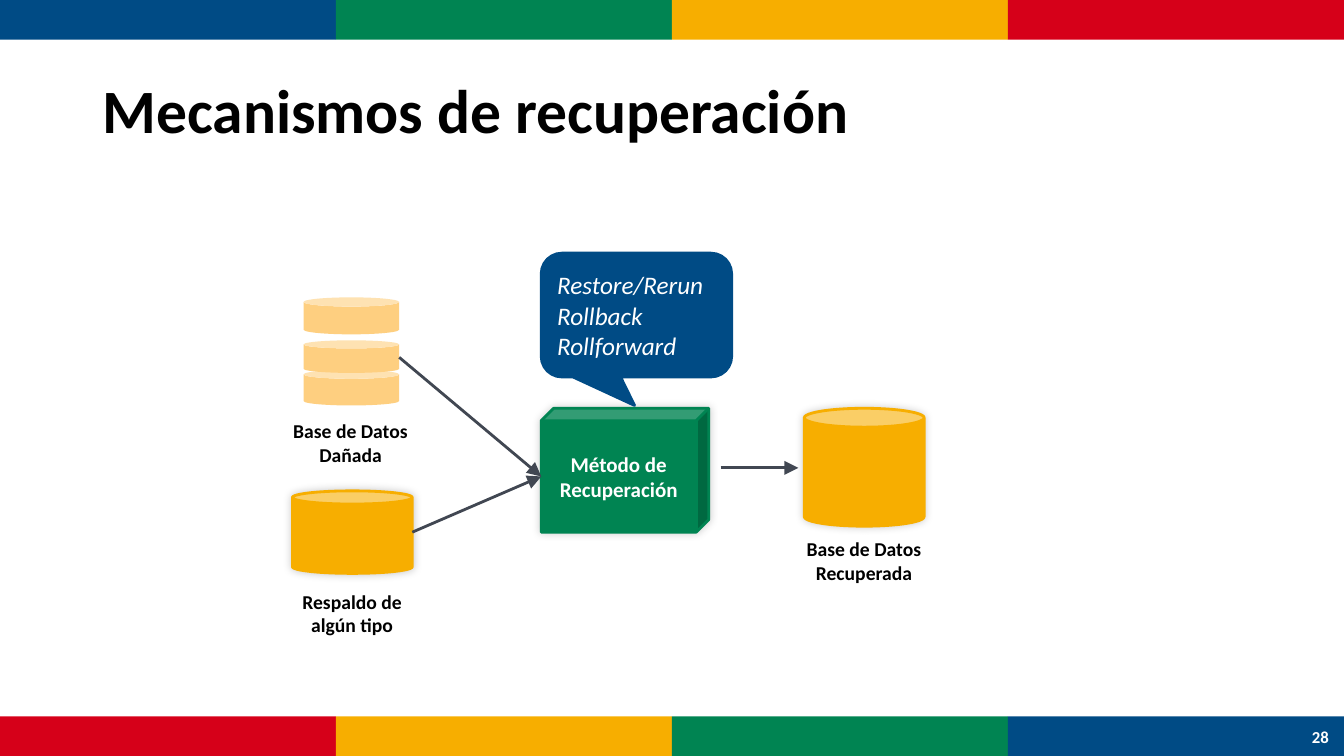
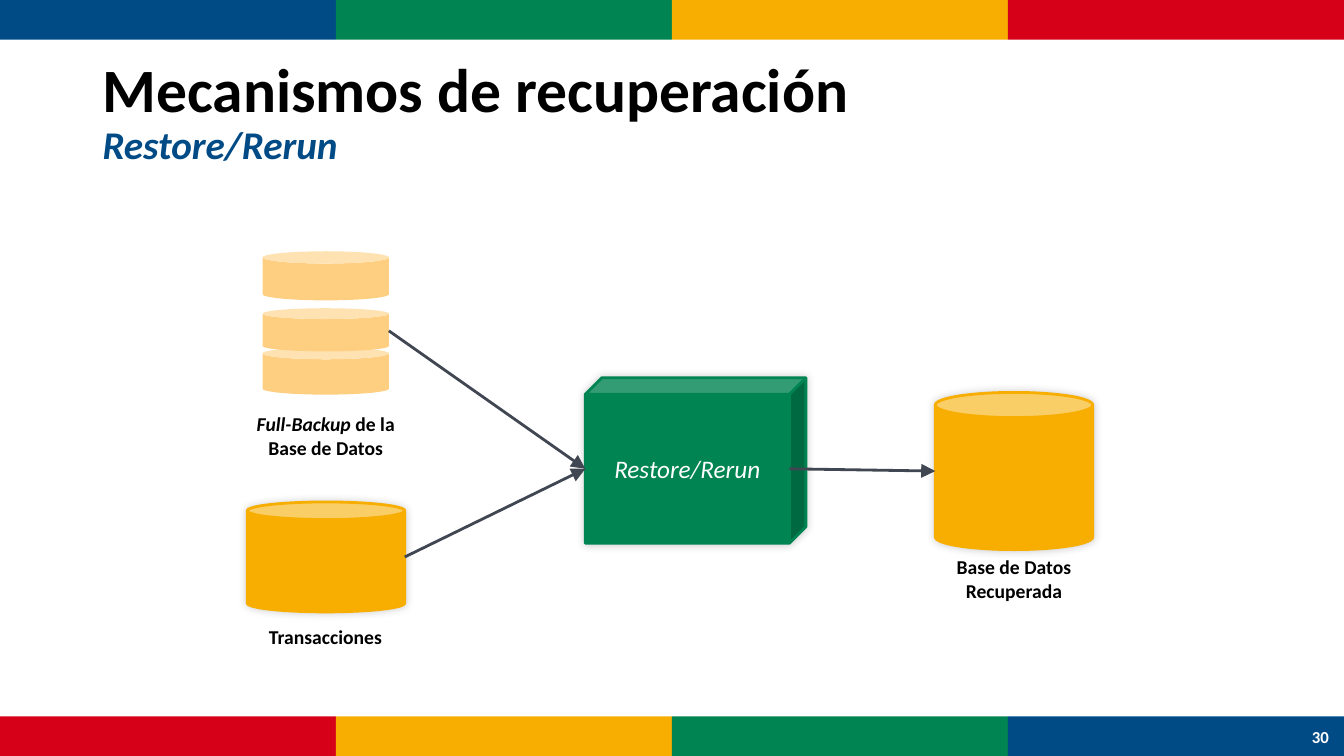
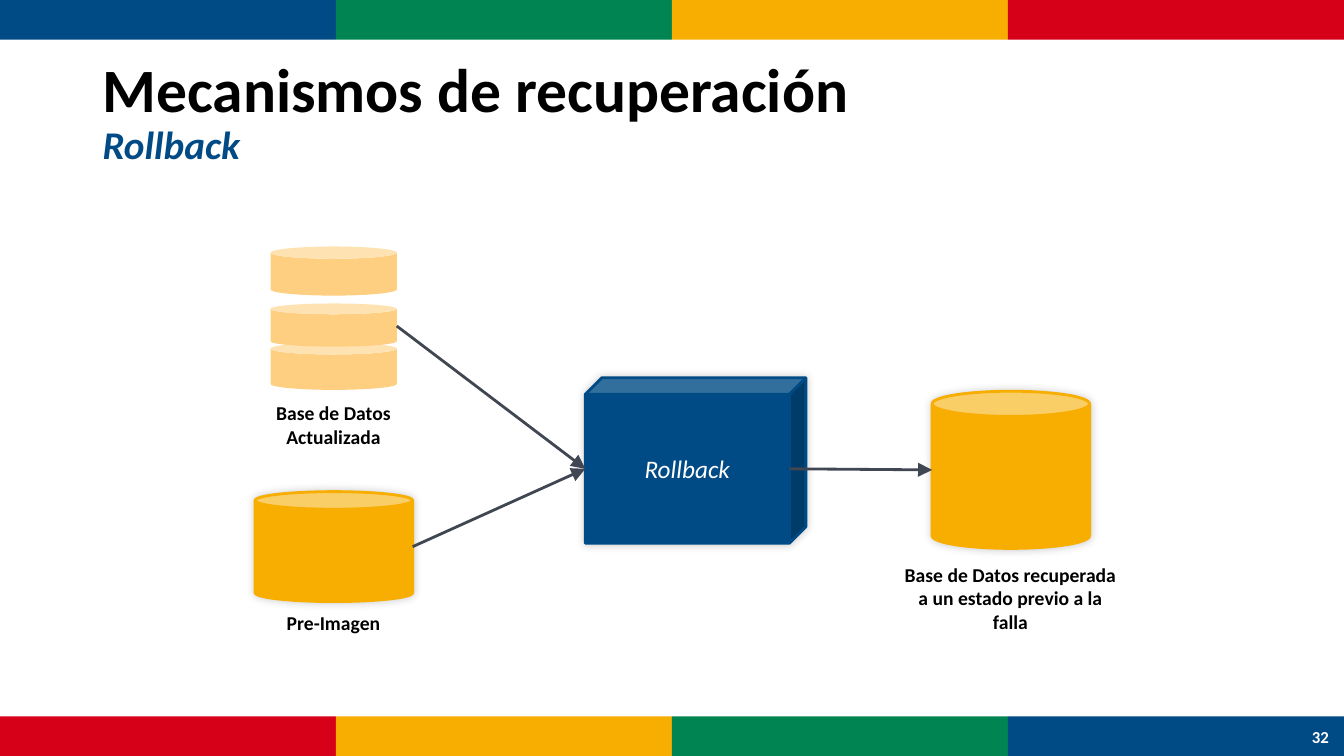
from lxml.etree import SubElement
from pptx import Presentation
from pptx.dml.color import RGBColor
from pptx.enum.shapes import MSO_CONNECTOR, MSO_SHAPE
from pptx.enum.text import MSO_ANCHOR, PP_ALIGN
from pptx.oxml import parse_xml
from pptx.oxml.ns import nsdecls, qn
from pptx.util import Cm, Pt

COLORS = {"blue": "004B85", "green": "008452", "yellow": "F7AE00", "red": "D60019",
          "pale": "FECF80", "arrow": "414752", "black": "000000", "white": "FFFFFF"}
FONT = "Calibri"
WIDTH, HEIGHT, BAND = 33.87, 19.05, 1
CAN_DEPTH, CUBE_DEPTH = 0.16, 0.1

# Per slide: boxes are left, top, width, height in centimetres;
# labels are left, top, width, line count and runs of (text, italic)
SLIDES = [
    {"number": "28", "subtitle": None, "method": "Método de Recuperación",
     "method_format": {"size": 15, "bold": True}, "color": "green",
     "cube": (13.64, 10.29, 4.22, 3.12), "drums": (7.65, 6.86, 2.41, 3.73),
     "cans": [(7.37, 12.37, 3.02, 2.08), (20.27, 10.29, 3.02, 2.97)],
     "output": (18.16, 11.79, 20.12, 11.79),
     "callout": ["Restore/Rerun", "Rollback", "Rollforward"],
     "labels": [(6.75, 10.44, 4.17, 2, [("Base de Datos Dañada", False)]),
                (7.06, 14.73, 3.63, 2, [("Respaldo de algún tipo", False)]),
                (19.72, 13.41, 4.11, 2, [("Base de Datos Recuperada", False)])]},
    {"number": "30", "subtitle": "Restore/Rerun", "method": "Restore/Rerun",
     "method_format": {"size": 18, "italic": True}, "color": "green",
     "cube": (14.75, 9.52, 5.56, 4.17), "drums": (6.62, 5.49, 3.18, 4.95),
     "cans": [(6.23, 12.65, 3.97, 2.77), (23.57, 9.89, 3.97, 3.96)],
     "output": None, "callout": None,
     "labels": [(5.82, 10.26, 4.78, 2, [("Full-Backup", True), (" de la Base de Datos", False)]),
                (6.02, 15.62, 4.37, 1, [("Transacciones", False)]),
                (23.37, 13.87, 4.37, 2, [("Base de Datos Recuperada", False)])]},
    {"number": "32", "subtitle": "Rollback", "method": "Rollback",
     "method_format": {"size": 18, "italic": True}, "color": "blue",
     "cube": (14.75, 9.52, 5.56, 4.17), "drums": (6.82, 5.37, 3.18, 4.95),
     "cans": [(6.43, 12.39, 3.97, 2.77), (23.49, 9.86, 3.97, 3.96)],
     "output": None, "callout": None,
     "labels": [(6.02, 9.98, 4.77, 2, [("Base de Datos Actualizada", False)]),
                (6.22, 15.27, 4.37, 1, [("Pre-Imagen", False)]),
                (22.49, 14.05, 5.95, 3,
                 [("Base de Datos recuperada a un estado previo a la falla", False)])]},
]


def write(paragraph, text, size=14, color="black", bold=False, italic=False,
          align=PP_ALIGN.CENTER):
    paragraph.alignment = align
    run = paragraph.add_run()
    run.text = text
    font = run.font
    font.name, font.size, font.bold, font.italic = FONT, Pt(size), bold, italic
    font.color.rgb = RGBColor.from_string(COLORS[color])


def paint(shape, fill, line=None, shadow=False):
    shape.shadow.inherit = False
    shape.fill.solid()
    shape.fill.fore_color.rgb = RGBColor.from_string(COLORS[fill])
    if line:
        shape.line.color.rgb = RGBColor.from_string(COLORS[line])
        shape.line.width = Pt(2)
    else:
        shape.line.fill.background()
    if shadow:
        effects = shape.element.spPr.find(qn("a:effectLst"))
        effects.append(parse_xml(
            f'<a:outerShdw {nsdecls("a")} blurRad="76200" dist="0" dir="13500000">'
            '<a:srgbClr val="000000"><a:alpha val="20000"/></a:srgbClr></a:outerShdw>'))


presentation = Presentation()
presentation.slide_width, presentation.slide_height = Cm(WIDTH), Cm(HEIGHT)

# Shared layout: title place only
layout = presentation.slide_layouts[5]
for placeholder in list(layout.placeholders):
    if placeholder.placeholder_format.idx == 0:
        placeholder.left, placeholder.top = Cm(2.33), Cm(1.02)
        placeholder.width, placeholder.height = Cm(29.21), Cm(3.68)
        placeholder.text_frame.vertical_anchor = MSO_ANCHOR.MIDDLE
    else:
        placeholder.element.getparent().remove(placeholder.element)

for index, content in enumerate(SLIDES):
    slide = presentation.slides.add_slide(layout)
    shapes = slide.shapes

    # Colour bands, drawn once and handed to the layout
    if index == 0:
        band_colors = ["blue", "green", "yellow", "red"]
        for top, names in ((0, band_colors), (HEIGHT - BAND, band_colors[::-1])):
            for column, name in enumerate(names):
                band = shapes.add_shape(MSO_SHAPE.RECTANGLE, Cm(column * WIDTH / 4), Cm(top),
                                        Cm(WIDTH / 4), Cm(BAND))
                paint(band, name)
                layout.shapes.element.append(band.element)

    # Title and subtitle
    heading = shapes.title.text_frame.paragraphs[0]
    heading.line_spacing = 0.9
    write(heading, "Mecanismos de recuperación", size=44, bold=True, align=PP_ALIGN.LEFT)
    if content["subtitle"]:
        heading.add_line_break()
        write(heading, content["subtitle"], size=28, color="blue", bold=True, italic=True,
              align=PP_ALIGN.LEFT)

    # Source database: white body, then three drums with the middle one in front
    left, top, width, height = content["drums"]
    for start, end, color in ((0, 1, "white"), (0.66, 0.9, "pale"),
                              (0.17, 0.42, "pale"), (0.46, 0.68, "pale")):
        drum = shapes.add_shape(MSO_SHAPE.CAN, Cm(left), Cm(top + start * height),
                                Cm(width), Cm((end - start) * height))
        paint(drum, color)
    drum_exit = (left + width, top + 0.575 * height)

    # Backup and recovered database
    for box in content["cans"]:
        can = shapes.add_shape(MSO_SHAPE.CAN, *map(Cm, box))
        can.adjustments[0] = CAN_DEPTH
        paint(can, "yellow", "yellow", shadow=True)

    # Recovery method
    cube = shapes.add_shape(MSO_SHAPE.CUBE, *map(Cm, content["cube"]))
    cube.adjustments[0] = CUBE_DEPTH
    paint(cube, content["color"], content["color"], shadow=True)
    cube.text_frame.vertical_anchor = MSO_ANCHOR.MIDDLE
    write(cube.text_frame.paragraphs[0], content["method"], color="white",
          **content["method_format"])

    # Arrows meet the front face of the cube
    left, top, width, height = content["cube"]
    depth = CUBE_DEPTH * height
    entry = (left, top + (height + depth) / 2)
    backup, result = content["cans"]
    backup_exit = (backup[0] + backup[2], backup[1] + backup[3] / 2)
    output = content["output"] or (left + width - depth, entry[1],
                                   result[0], result[1] + result[3] / 2)
    for ends in (backup_exit + entry, drum_exit + entry, output):
        arrow = shapes.add_connector(MSO_CONNECTOR.STRAIGHT, *map(Cm, ends))
        arrow.line.color.rgb = RGBColor.from_string(COLORS["arrow"])
        arrow.line.width = Pt(2)
        SubElement(arrow.element.spPr.find(qn("a:ln")), qn("a:tailEnd"),
                   type="triangle", w="lg", len="lg")
        SubElement(arrow.element.spPr, qn("a:effectLst"))

    # Callout with the methods
    if content["callout"]:
        callout = shapes.add_shape(MSO_SHAPE.ROUNDED_RECTANGULAR_CALLOUT,
                                   Cm(left), Cm(6.38), Cm(4.8), Cm(3.12))
        callout.adjustments[0], callout.adjustments[1] = -0.01, 0.73
        paint(callout, "blue", "blue")
        frame = callout.text_frame
        frame.vertical_anchor = MSO_ANCHOR.MIDDLE
        for row, name in enumerate(content["callout"]):
            paragraph = frame.add_paragraph() if row else frame.paragraphs[0]
            write(paragraph, name, size=18, color="white", italic=True, align=PP_ALIGN.LEFT)

    # Labels
    for left, top, width, lines, runs in content["labels"]:
        label = shapes.add_textbox(Cm(left), Cm(top), Cm(width), Cm(0.26 + 0.6 * lines))
        label.text_frame.word_wrap = True
        for text, italic in runs:
            write(label.text_frame.paragraphs[0], text, bold=True, italic=italic)

    # Slide number
    number = shapes.add_textbox(Cm(32.69), Cm(18.06), Cm(1.17), Cm(1.02))
    number.text_frame.word_wrap = True
    number.text_frame.vertical_anchor = MSO_ANCHOR.MIDDLE
    write(number.text_frame.paragraphs[0], content["number"], size=12, color="white", bold=True)

presentation.save("out.pptx")
